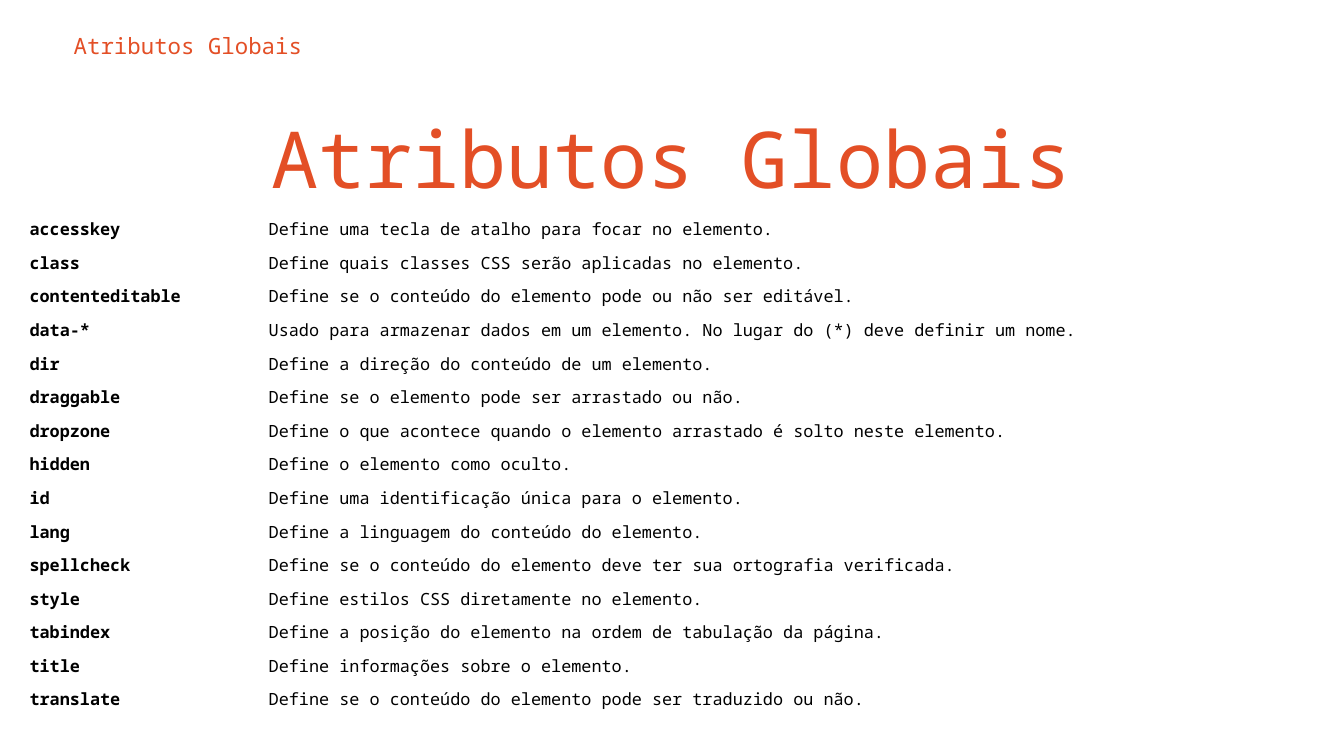
from dataclasses import dataclass

from pptx import Presentation
from pptx.dml.color import RGBColor
from pptx.enum.text import MSO_ANCHOR, MSO_AUTO_SIZE, PP_ALIGN
from pptx.shapes.base import BaseShape
from pptx.slide import Slide
from pptx.text.text import TextFrame
from pptx.util import Emu, Pt

EMU_PER_PX = 4572  # 200 px to the inch


@dataclass(frozen=True)
class Theme:
    font: str = "Noto Sans Mono"
    accent: RGBColor = RGBColor(0xE3, 0x4F, 0x26)
    ink: RGBColor = RGBColor(0x00, 0x00, 0x00)
    paper: RGBColor = RGBColor(0xFF, 0xFF, 0xFF)
    section_size: int = 12
    title_size: int = 42
    table_size: int = 9


@dataclass(frozen=True)
class Box:
    left: int
    top: int
    width: int
    height: int


@dataclass(frozen=True)
class Attribute:
    name: str
    meaning: str


THEME = Theme()
SLIDE_WIDTH, SLIDE_HEIGHT = 2000, 1125
HEADING = "Atributos Globais"
SECTION_BOX = Box(90, 25, 1836, 84)
TITLE_BOX = Box(142, 148, 1714, 172)
TABLE_LEFT, TABLE_TOP = 36, 316
COLUMN_WIDTHS = (356, 1548)
ROW_HEIGHT = 40
TEXT_INSET, CELL_INSET = 20, 8

ATTRIBUTES = (
    Attribute("accesskey", "Define uma tecla de atalho para focar no elemento."),
    Attribute("class", "Define quais classes CSS serão aplicadas no elemento."),
    Attribute("contenteditable", "Define se o conteúdo do elemento pode ou não ser editável."),
    Attribute("data-*", "Usado para armazenar dados em um elemento. "
                        "No lugar do (*) deve definir um nome."),
    Attribute("dir", "Define a direção do conteúdo de um elemento."),
    Attribute("draggable", "Define se o elemento pode ser arrastado ou não."),
    Attribute("dropzone", "Define o que acontece quando o elemento arrastado "
                          "é solto neste elemento."),
    Attribute("hidden", "Define o elemento como oculto."),
    Attribute("id", "Define uma identificação única para o elemento."),
    Attribute("lang", "Define a linguagem do conteúdo do elemento."),
    Attribute("spellcheck", "Define se o conteúdo do elemento deve ter "
                            "sua ortografia verificada."),
    Attribute("style", "Define estilos CSS diretamente no elemento."),
    Attribute("tabindex", "Define a posição do elemento na ordem de tabulação da página."),
    Attribute("title", "Define informações sobre o elemento."),
    Attribute("translate", "Define se o conteúdo do elemento pode ser traduzido ou não."),
)


def px(length: int) -> Emu:
    return Emu(length * EMU_PER_PX)


def write(frame: TextFrame, text: str, size: int, color: RGBColor,
          bold: bool = False, align: PP_ALIGN = PP_ALIGN.LEFT) -> None:
    frame.text = text
    paragraph = frame.paragraphs[0]
    paragraph.alignment = align
    font = paragraph.font
    font.name, font.size, font.bold = THEME.font, Pt(size), bold
    font.color.rgb = color


def set_heading(shape: BaseShape, box: Box, size: int, align: PP_ALIGN) -> None:
    shape.left, shape.top = px(box.left), px(box.top)
    shape.width, shape.height = px(box.width), px(box.height)
    frame = shape.text_frame
    frame.word_wrap = True
    frame.auto_size = MSO_AUTO_SIZE.NONE
    frame.vertical_anchor = MSO_ANCHOR.MIDDLE
    frame.margin_left = frame.margin_right = px(TEXT_INSET)
    frame.margin_top = frame.margin_bottom = px(TEXT_INSET)
    write(frame, HEADING, size, THEME.accent, align=align)


def add_attribute_table(slide: Slide) -> None:
    table = slide.shapes.add_table(
        len(ATTRIBUTES), len(COLUMN_WIDTHS), px(TABLE_LEFT), px(TABLE_TOP),
        px(sum(COLUMN_WIDTHS)), px(ROW_HEIGHT * len(ATTRIBUTES))).table
    table.first_row = table.horz_banding = False
    for column, width in zip(table.columns, COLUMN_WIDTHS):
        column.width = px(width)
    for row, attribute in zip(table.rows, ATTRIBUTES):
        row.height = px(ROW_HEIGHT)
        name_cell, meaning_cell = row.cells
        for cell in (name_cell, meaning_cell):
            cell.fill.solid()
            cell.fill.fore_color.rgb = THEME.paper
            cell.margin_left = cell.margin_right = px(CELL_INSET)
            cell.margin_top = cell.margin_bottom = px(CELL_INSET)
        write(name_cell.text_frame, attribute.name, THEME.table_size, THEME.ink, bold=True)
        write(meaning_cell.text_frame, attribute.meaning, THEME.table_size, THEME.ink)


def main() -> None:
    presentation = Presentation()
    presentation.slide_width, presentation.slide_height = px(SLIDE_WIDTH), px(SLIDE_HEIGHT)
    title_only = presentation.slide_layouts[5]
    slide = presentation.slides.add_slide(title_only)

    # Section label
    section = slide.shapes.add_textbox(0, 0, 0, 0)
    set_heading(section, SECTION_BOX, THEME.section_size, PP_ALIGN.LEFT)

    # Slide title
    set_heading(slide.shapes.title, TITLE_BOX, THEME.title_size, PP_ALIGN.CENTER)

    # Attribute names and meanings
    add_attribute_table(slide)

    presentation.save("out.pptx")


if __name__ == "__main__":
    main()
